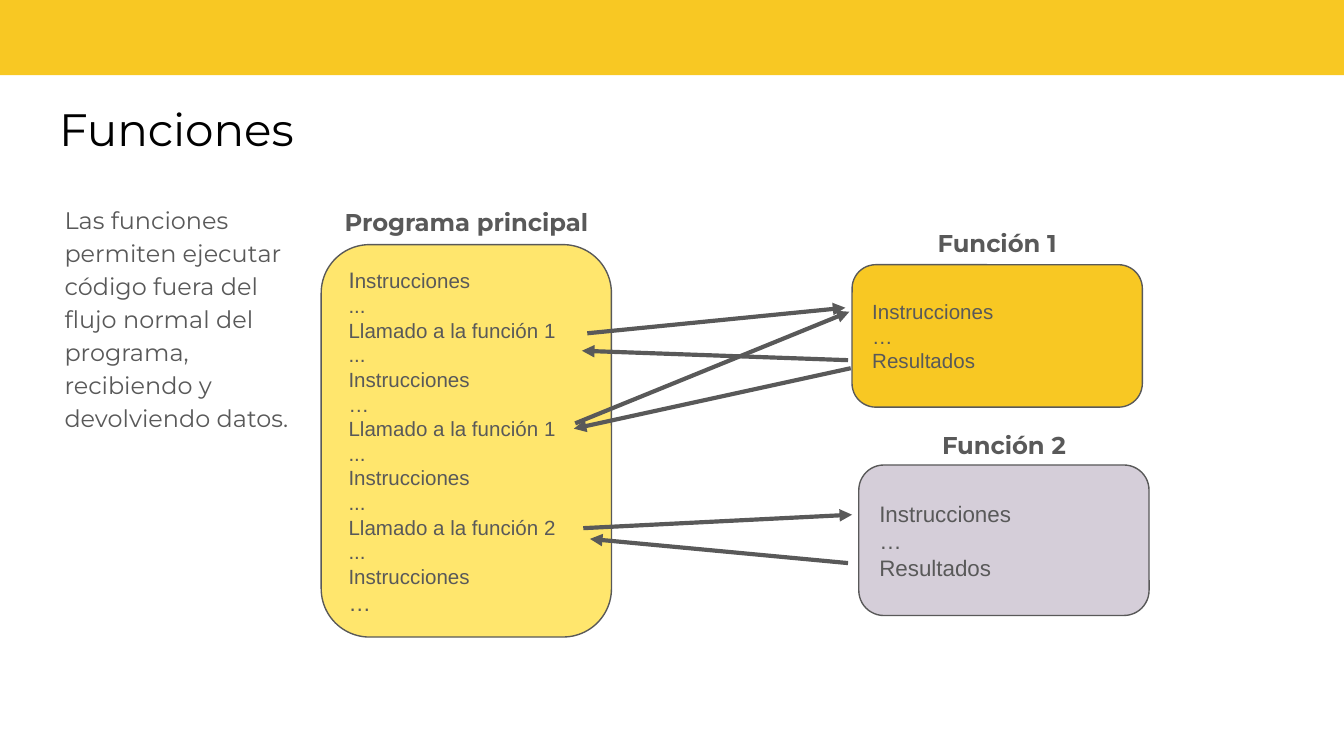
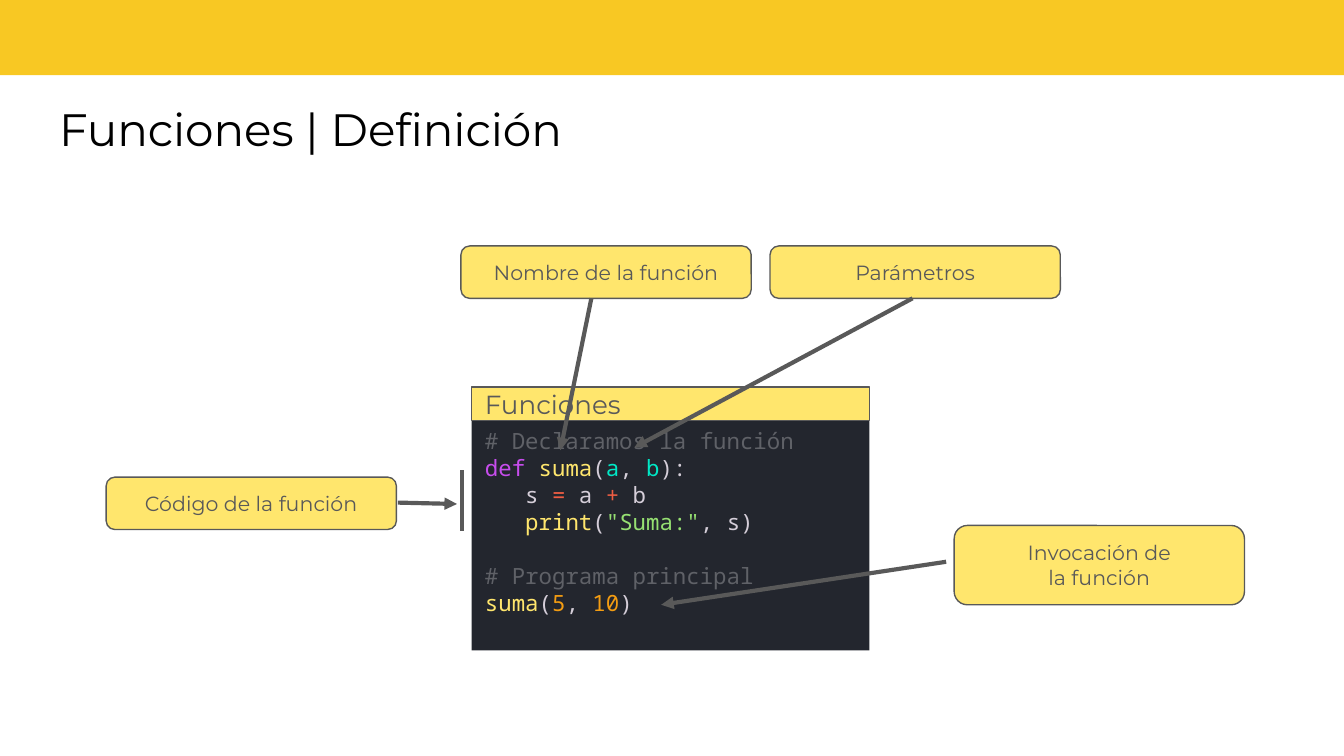
from dataclasses import dataclass

from lxml.etree import SubElement
from pptx import Presentation
from pptx.dml.color import RGBColor
from pptx.enum.shapes import MSO_CONNECTOR, MSO_SHAPE
from pptx.enum.text import MSO_ANCHOR, MSO_AUTO_SIZE, PP_ALIGN
from pptx.oxml.ns import qn
from pptx.util import Emu, Pt

EMU_PER_PX = 9144  # 100 px to the inch
SLIDE_WIDTH = 1000


@dataclass(frozen=True)
class Theme:
    gold: str = "F8C823"
    yellow: str = "FFE66D"
    lilac: str = "D5CED9"
    grey: str = "595959"
    black: str = "000000"
    code_fill: str = "23262E"
    comment: str = "5F6167"
    keyword: str = "C74DED"
    parameter: str = "00E8C6"
    operator: str = "EE5D43"
    string: str = "96E072"
    number: str = "F39C12"
    heading_font: str = "Montserrat"
    box_font: str = "Arial"
    code_font: str = "Noto Sans Mono"
    outline: float = 0.75
    arrow: float = 2.25


THEME = Theme()


def text_style(font, size, color=THEME.grey, bold=False):
    return {"name": font, "size": Pt(size), "bold": bold, "color": color}


TITLE = text_style(THEME.heading_font, 24.3, THEME.black)
BODY = text_style(THEME.heading_font, 12.8)
CAPTION = text_style(THEME.heading_font, 13, bold=True)
CALLOUT = text_style(THEME.heading_font, 11)
CODE_TITLE = text_style(THEME.heading_font, 14)
BOX_SMALL = text_style(THEME.box_font, 11)
BOX_LARGE = text_style(THEME.box_font, 12)
CODE = text_style(THEME.code_font, 12, THEME.lilac)


# Shared helpers
def px(value):
    return Emu(value * EMU_PER_PX)


def set_attributes(target, values):
    for name, value in values.items():
        setattr(target, name, value)


def place(shape, box):
    set_attributes(shape, dict(zip(("left", "top", "width", "height"), map(px, box))))


def write(shape, lines, style, align=PP_ALIGN.LEFT, anchor=MSO_ANCHOR.TOP, insets=(10, 5)):
    """Each line is a string or a list of (text, style changes) runs."""
    frame = shape.text_frame
    side, edge = map(px, insets)
    set_attributes(frame, {
        "word_wrap": True, "auto_size": MSO_AUTO_SIZE.NONE, "vertical_anchor": anchor,
        "margin_left": side, "margin_right": side, "margin_top": edge, "margin_bottom": edge,
    })
    for index, line in enumerate(lines):
        paragraph = frame.add_paragraph() if index else frame.paragraphs[0]
        paragraph.alignment = align
        for text, changes in [(line, {})] if isinstance(line, str) else line:
            run = paragraph.add_run()
            run.text = text
            values = {**style, **changes}
            run.font.color.rgb = RGBColor.from_string(values.pop("color"))
            set_attributes(run.font, values)
    return frame.paragraphs


# Kinds of element
def add_block(slide, kind, box, fill, outlined=True):
    shape = slide.shapes.add_shape(kind, *map(px, box))
    shape.shadow.inherit = False
    shape.fill.solid()
    shape.fill.fore_color.rgb = RGBColor.from_string(fill)
    if outlined:
        shape.line.color.rgb = RGBColor.from_string(THEME.grey)
        shape.line.width = Pt(THEME.outline)
    else:
        shape.line.fill.background()
    return shape


def add_box(slide, box, fill, lines, style, align=PP_ALIGN.LEFT):
    shape = add_block(slide, MSO_SHAPE.FLOWCHART_ALTERNATE_PROCESS, box, fill)
    write(shape, lines, style, align, MSO_ANCHOR.MIDDLE)


def add_caption(slide, left, top, text):
    shape = slide.shapes.add_textbox(*map(px, (left, top, 236, 39)))
    write(shape, [text], CAPTION, PP_ALIGN.CENTER)


def add_line(slide, start, end, arrow=True):
    connector = slide.shapes.add_connector(MSO_CONNECTOR.STRAIGHT, *map(px, start + end))
    connector.line.color.rgb = RGBColor.from_string(THEME.grey)
    connector.line.width = Pt(THEME.arrow)
    if arrow:
        SubElement(connector.line._get_or_add_ln(), qn("a:tailEnd"), type="triangle")
    SubElement(connector.element.spPr, qn("a:effectLst"))


def add_titled_slide(presentation, layout_index, title):
    slide = presentation.slides.add_slide(presentation.slide_layouts[layout_index])
    place(slide.shapes.title, (34, 65, 930, 63))
    write(slide.shapes.title, [title], TITLE, insets=(10, 10))
    return slide


def add_body(slide, text):
    body = slide.placeholders[1]
    place(body, (48, 140, 181, 358))
    paragraph = write(body, [text], BODY, insets=(0, 10))[0]
    set_attributes(paragraph, {"line_spacing": 1.15, "space_before": Pt(12)})
    properties = paragraph._p.get_or_add_pPr()
    properties.set("marL", "0")
    properties.set("indent", "0")
    SubElement(properties, qn("a:buNone"))


def move_band_to_master(presentation, slide):
    band = add_block(slide, MSO_SHAPE.RECTANGLE, (-1, -5, 1003, 61), THEME.gold, outlined=False)
    band.element.nvSpPr.cNvPr.set("id", "100")
    presentation.slide_master.shapes.element.insert(2, band.element)


def add_code_panel(slide, title, lines):
    panel = add_block(slide, MSO_SHAPE.RECTANGLE, (351, 313, 296, 171), THEME.code_fill, outlined=False)
    header = add_block(slide, MSO_SHAPE.RECTANGLE, (351, 288, 296, 25), THEME.yellow)
    write(header, [title], CODE_TITLE, anchor=MSO_ANCHOR.MIDDLE)
    return write(panel, lines, CODE)


# Slides
def build_flow_slide(presentation):
    slide = add_titled_slide(presentation, 1, "Funciones")
    move_band_to_master(presentation, slide)
    add_body(slide, "Las funciones permiten ejecutar código fuera del flujo normal del "
                    "programa, recibiendo y devolviendo datos.")

    # Main program and the two functions
    large = {"size": BOX_LARGE["size"]}
    program = [
        [("I", large), ("nstrucciones", {})], "...",
        "Llamado a la función 1", "...", "Instrucciones", "…",
        "Llamado a la función 1", "...", "Instrucciones", "...",
        "Llamado a la función 2", "...", "Instrucciones", [("…", large)],
    ]
    function = ["Instrucciones", "…", "Resultados"]
    add_box(slide, (239, 182, 216, 292), THEME.yellow, program, BOX_SMALL)
    add_box(slide, (634, 197, 216, 106), THEME.gold, function, BOX_SMALL)
    add_box(slide, (639, 346, 216, 112), THEME.lilac, function, BOX_LARGE)
    add_caption(slide, 229, 149, "Programa principal")
    add_caption(slide, 624, 165, "Función 1")
    add_caption(slide, 629, 315, "Función 2")

    # Calls and returns
    for start, end in (
        ((437, 248), (629, 229)), ((631, 268), (433, 261)),
        ((428, 315), (632, 232)), ((633, 274), (427, 319)),
        ((434, 393), (634, 383)), ((631, 419), (439, 401)),
    ):
        add_line(slide, start, end)


def build_definition_slide(presentation):
    slide = add_titled_slide(presentation, 5, "Funciones | Definición")

    # Code, coloured by kind of token
    comment, keyword, name, parameter, operator, string, number = (
        {"color": color} for color in (
            THEME.comment, THEME.keyword, THEME.yellow, THEME.parameter,
            THEME.operator, THEME.string, THEME.number))
    paragraphs = add_code_panel(slide, "Funciones", [
        [("# Declaramos la función", comment)],
        [("def", keyword), (" ", {}), ("suma", name), ("(", {}), ("a", parameter),
         (", ", {}), ("b", parameter), ("):", {})],
        [("s ", {}), ("=", operator), (" a ", {}), ("+", operator), (" b", {})],
        [("print", name), ("(", {}), ('"Suma:"', string), (", s)", {})],
        [("# Programa principal", comment)],
        [("suma", name), ("(", {}), ("5", number), (", ", {}), ("10", number), (")", {})],
    ])
    for paragraph in paragraphs[2:4]:
        paragraph._p.get_or_add_pPr().set("marL", str(px(30)))
    paragraphs[4].space_before = Pt(14.5)

    # Callouts
    for left, top, height, lines in (
        (343, 183, 39, ["Nombre de la función"]),
        (573, 183, 39, ["Parámetros"]),
        (79, 355, 39, ["Código de la función"]),
        (710, 391, 59, ["Invocación de", "la función"]),
    ):
        add_box(slide, (left, top, 216, height), THEME.yellow, lines, CALLOUT, PP_ALIGN.CENTER)

    # Pointers, and the bar beside the function's code
    for start, end in (
        ((440, 222), (417, 335)), ((679, 222), (472, 333)),
        ((296, 374), (340, 375)), ((704, 418), (492, 450)),
    ):
        add_line(slide, start, end)
    add_line(slide, (344, 350), (344, 395), arrow=False)


def main():
    presentation = Presentation()
    width = px(SLIDE_WIDTH)
    set_attributes(presentation, {"slide_width": width, "slide_height": Emu(width * 9 // 16)})
    build_flow_slide(presentation)
    build_definition_slide(presentation)
    presentation.save("out.pptx")


if __name__ == "__main__":
    main()
